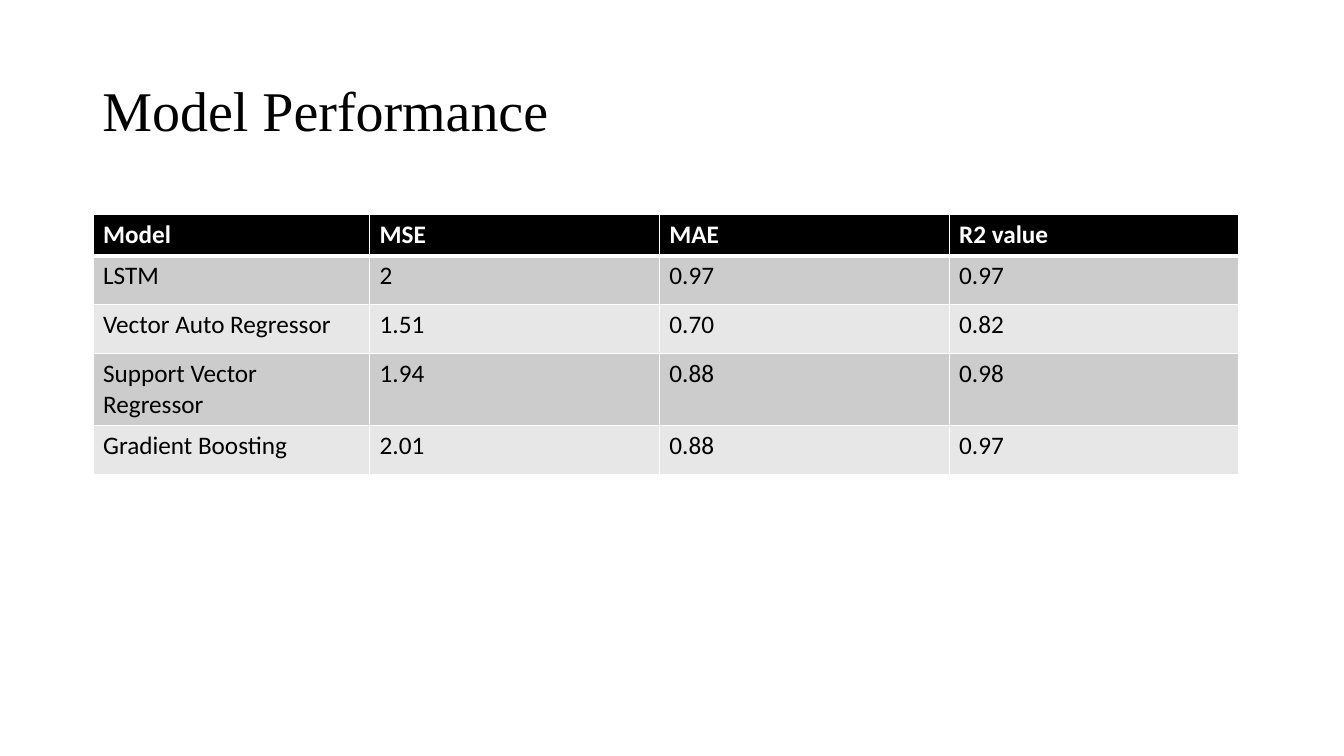
from pptx import Presentation
from pptx.dml.color import RGBColor
from pptx.enum.text import MSO_ANCHOR, MSO_AUTO_SIZE, PP_ALIGN
from pptx.oxml import parse_xml
from pptx.oxml.ns import nsdecls
from pptx.util import Pt

LEFT = PP_ALIGN.LEFT
MIDDLE = MSO_ANCHOR.MIDDLE
NO_FIT = MSO_AUTO_SIZE.NONE

TITLE = "Model Performance"
ROWS = [
    ("Model", "MSE", "MAE", "R2 value"),
    ("LSTM", "2", "0.97", "0.97"),
    ("Vector Auto Regressor", "1.51", "0.70", "0.82"),
    ("Support Vector Regressor", "1.94", "0.88", "0.98"),
    ("Gradient Boosting", "2.01", "0.88", "0.97"),
]
WIDTHS = [197.5, 207, 207, 207]
HEAD_H, ROW_H = 29.2, 35
BLACK, WHITE = "000000", "FFFFFF"
BANDS = ["CCCCCC", "E7E7E7"]


def color(code):
    return RGBColor.from_string(code)


def write(para, text, font, size, code, bold=False):
    run = para.add_run()
    run.text = text
    run.font.name = font
    run.font.size = Pt(size)
    run.font.bold = bold
    run.font.color.rgb = color(code)


def edge(cell, row):
    """Draw white cell borders, thicker below the header row."""
    top = 3 if row == 1 else 1
    base = 3 if row == 0 else 1
    for side, width in (("L", 1), ("R", 1), ("T", top), ("B", base)):
        cell._tc.get_or_add_tcPr().append(parse_xml(
            f'<a:ln{side} {nsdecls("a")} w="{Pt(width)}"><a:solidFill>'
            f'<a:srgbClr val="{WHITE}"/></a:solidFill></a:ln{side}>'))


deck = Presentation()
deck.slide_width, deck.slide_height = Pt(960), Pt(540)
slide = deck.slides.add_slide(deck.slide_layouts[5])

title = slide.shapes.title
title.left, title.top, title.width, title.height = Pt(66), Pt(28.75), Pt(828), Pt(104.4)
frame = title.text_frame
frame.auto_size = NO_FIT
frame.vertical_anchor = MIDDLE
para = frame.paragraphs[0]
para.alignment = LEFT
para.line_spacing = 0.9
write(para, TITLE, "Times New Roman", 40, BLACK)

high = HEAD_H + ROW_H * (len(ROWS) - 1)
table = slide.shapes.add_table(
    len(ROWS), len(WIDTHS), Pt(66.5), Pt(153.5), Pt(sum(WIDTHS)), Pt(high)).table
for col, width in zip(table.columns, WIDTHS):
    col.width = Pt(width)
for r, values in enumerate(ROWS):
    head = r == 0
    table.rows[r].height = Pt(HEAD_H if head else ROW_H)
    for c, value in enumerate(values):
        cell = table.cell(r, c)
        edge(cell, r)
        cell.fill.solid()
        cell.fill.fore_color.rgb = color(BLACK if head else BANDS[(r - 1) % 2])
        write(cell.text_frame.paragraphs[0], value, "Calibri", 18,
              WHITE if head else BLACK, head)

deck.save("out.pptx")
